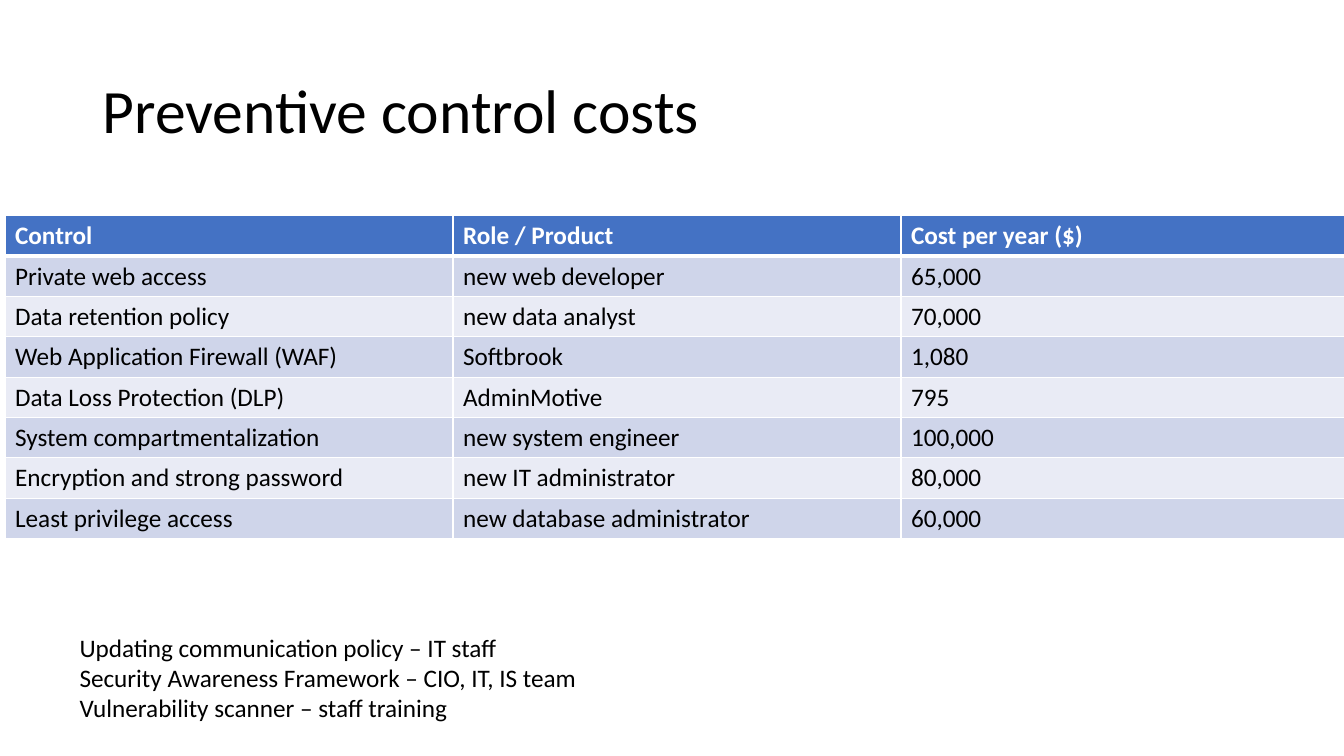
import pptx
import pptx.util
import pptx.dml.color
import pptx.enum.text
import pptx.oxml
import pptx.oxml.ns
from dataclasses import dataclass

Inches = pptx.util.Inches
Pt = pptx.util.Pt
MIDDLE = pptx.enum.text.MSO_ANCHOR.MIDDLE


@dataclass(frozen=True)
class Theme:
    font: str = "Calibri"
    title: int = 44
    body: int = 18
    black: str = "000000"
    white: str = "FFFFFF"
    head: str = "4472C4"
    bands: tuple = ("CFD5EA", "E9EBF5")
    thin: int = 1
    thick: int = 3


THEME = Theme()

ROWS = [
    ("Control", "Role / Product", "Cost per year ($)"),
    ("Private web access", "new web developer", "65,000"),
    ("Data retention policy", "new data analyst", "70,000"),
    ("Web Application Firewall (WAF)", "Softbrook", "1,080"),
    ("Data Loss Protection (DLP)", "AdminMotive", "795"),
    ("System compartmentalization", "new system engineer", "100,000"),
    ("Encryption and strong password", "new IT administrator", "80,000"),
    ("Least privilege access", "new database administrator", "60,000"),
]

NOTES = [
    "Updating communication policy – IT staff",
    "Security Awareness Framework – CIO, IT, IS team",
    "Vulnerability scanner – staff training",
]


def color(code):
    return pptx.dml.color.RGBColor.from_string(code)


def style(frame, size, code, bold=False):
    for para in frame.paragraphs:
        for run in para.runs:
            run.font.name = THEME.font
            run.font.size = Pt(size)
            run.font.bold = bold
            run.font.color.rgb = color(code)


def add_text(slide, box, text, size):
    frame = slide.shapes.add_textbox(*map(Inches, box)).text_frame
    frame.word_wrap = True
    frame.text = text
    style(frame, size, THEME.black)
    return frame


def add_title(slide, box):
    frame = add_text(slide, box, "Preventive control costs", THEME.title)
    frame.vertical_anchor = MIDDLE
    frame.paragraphs[0].line_spacing = 0.9


def set_edges(cell, top, bottom):
    # Border lines come before the fill in the cell properties
    props = cell._tc.get_or_add_tcPr()
    sides = {"L": THEME.thin, "R": THEME.thin, "T": top, "B": bottom}
    for place, (side, width) in enumerate(sides.items()):
        line = pptx.oxml.parse_xml(
            f'<a:ln{side} {pptx.oxml.ns.nsdecls("a")} w="{Pt(width)}">'
            f'<a:solidFill><a:srgbClr val="{THEME.white}"/></a:solidFill>'
            f'</a:ln{side}>')
        props.insert(place, line)


def add_costs(slide, box):
    left, top, width, height = map(Inches, box)
    count = len(ROWS[0])
    table = slide.shapes.add_table(
        len(ROWS), count, left, top, width, height).table
    for column in table.columns:
        column.width = width // count
    for r, row in enumerate(ROWS):
        head = r == 0
        for c, text in enumerate(row):
            cell = table.cell(r, c)
            cell.text_frame.text = text
            cell.vertical_anchor = MIDDLE
            style(cell.text_frame, THEME.body,
                  THEME.white if head else THEME.black, head)
            cell.fill.solid()
            cell.fill.fore_color.rgb = color(
                THEME.head if head else THEME.bands[(r - 1) % 2])
            set_edges(cell, THEME.thick if r == 1 else THEME.thin,
                      THEME.thick if head else THEME.thin)


def add_notes(slide, box):
    add_text(slide, box, "\n".join(NOTES), THEME.body)


deck = pptx.Presentation()
deck.slide_width = Inches(13.33)
deck.slide_height = Inches(7.5)
page = deck.slides.add_slide(deck.slide_layouts[6])

# Heading, cost table and the staff tasks below it
add_title(page, (0.92, 0.4, 11.5, 1.45))
add_costs(page, (0.05, 2.14, 13.33, 3.2))
add_notes(page, (0.69, 6.22, 11.51, 1.01))

deck.save("out.pptx")
